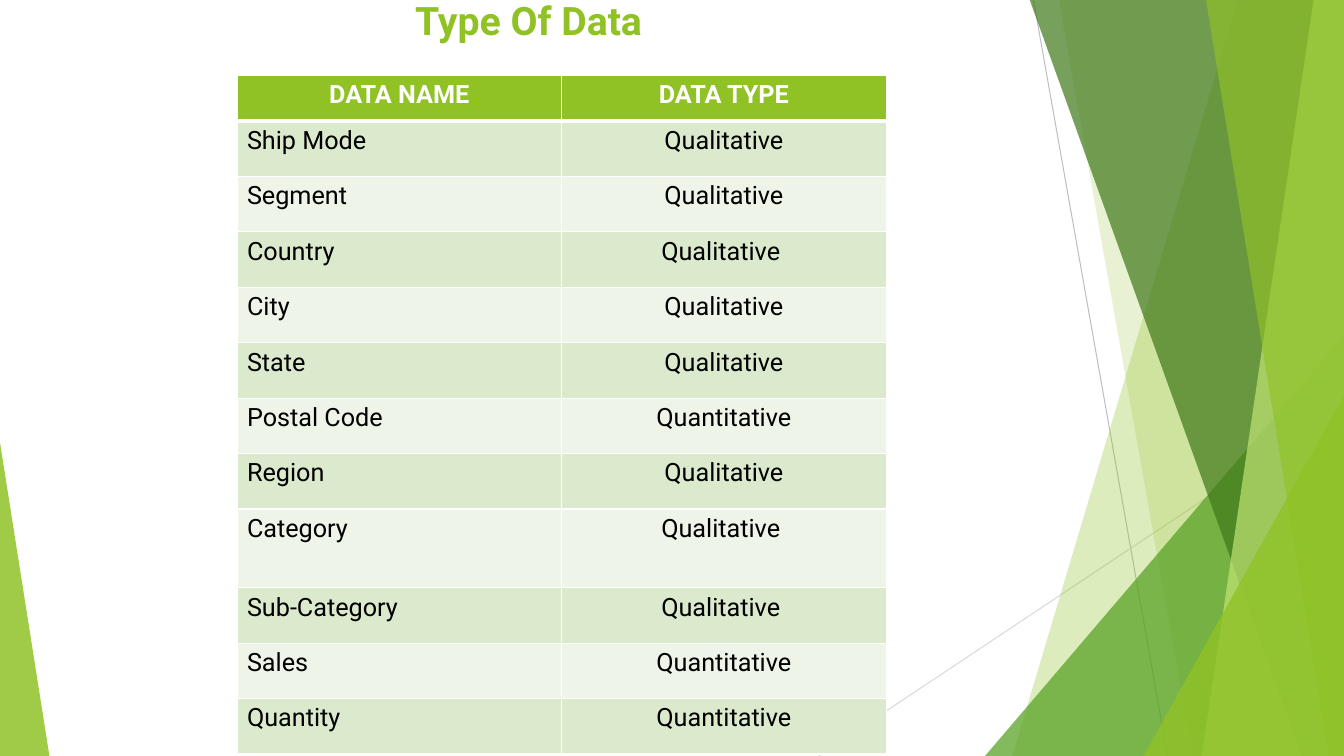
"""Build the slide that lists each data field with its type."""
from lxml.etree import SubElement
from pptx import Presentation
from pptx.dml.color import RGBColor
from pptx.enum.shapes import MSO_CONNECTOR as Connector, MSO_SHAPE as Shape
from pptx.enum.text import MSO_AUTO_SIZE as AutoSize, PP_ALIGN as Align
from pptx.oxml import parse_xml
from pptx.oxml.ns import nsdecls, qn
from pptx.util import Inches, Pt

THEME = {
    "green": "90C226", "leaf": "54A021", "forest": "3F7819", "lime": "C0E474",
    "white": "FFFFFF", "black": "000000", "bands": ("DBE9CD", "EEF4E8"),
    "steep_line": "BFBFBF", "shallow_line": "D9D9D9",
    "title": {"name": "Roboto", "size": Pt(28), "bold": True},
    "header": {"name": "Roboto", "size": Pt(18), "bold": True},
    "body": {"name": "Roboto", "size": Pt(18), "bold": False},
}


def write(frame, text, font_format, color, align=Align.LEFT):
    """Put one formatted line of text in a frame."""
    paragraph = frame.paragraphs[0]
    paragraph.alignment = align
    run = paragraph.add_run()
    run.text = text
    for attribute, value in font_format.items():
        setattr(run.font, attribute, value)
    run.font.color.rgb = RGBColor.from_string(color)


prs = Presentation()
prs.slide_width, prs.slide_height = Inches(13.33), Inches(7.5)
slide = prs.slides.add_slide(prs.slide_layouts[6])
shapes = slide.shapes

for start, end, color in (
    ((10.25, 0), (11.58, 7.5), THEME["steep_line"]),
    ((13.33, 4.03), (8.12, 7.5), THEME["shallow_line"]),
):
    ray = shapes.add_connector(Connector.STRAIGHT, *map(Inches, start + end))
    ray.line.color.rgb = RGBColor.from_string(color)
    ray.line.width = Pt(0.75)
    SubElement(ray._element.spPr, qn("a:effectLst"))

TOP, BOTTOM, RIGHT = -0.01, 7.5, 13.33
facets = (
    ("blade", (12.28, 10.04), "green", 30),
    ("blade", (10.5, 11.83), "green", 20),
    ("corner", (9.77, 3.33, 3.56, 1), "leaf", 72),
    ("blade", (10.21, 12.91), "forest", 70),
    ("blade", (13.03, 11.92), "lime", 70),
    ("blade", (11.96, 13.18), "green", 65),
    ("corner", (11.34, 3.93, 1.99, 1), "green", 80),
    ("corner", (0, 4.39, 0.49, 0), "green", 85),
)
for kind, geometry, color, opacity in facets:
    if kind == "blade":
        top_x, bottom_x = geometry
        outline = shapes.build_freeform(Inches(top_x), Inches(TOP))
        outline.add_line_segments([
            (Inches(x), Inches(y))
            for x, y in ((RIGHT, TOP), (RIGHT, BOTTOM), (bottom_x, BOTTOM))
        ])
        facet = outline.convert_to_shape()
    else:
        left, top, width, apex = geometry
        facet = shapes.add_shape(
            Shape.ISOSCELES_TRIANGLE,
            *map(Inches, (left, top, width, BOTTOM - top)))
        facet.adjustments[0] = apex
    facet.shadow.inherit = False
    facet.line.fill.background()
    facet.fill.solid()
    facet.fill.fore_color.rgb = RGBColor.from_string(THEME[color])
    tint = facet._element.spPr.find(qn("a:solidFill"))[0]
    SubElement(tint, qn("a:alpha")).set("val", str(opacity * 1000))

fields = (
    ("DATA NAME", "DATA TYPE"),
    ("Ship Mode", "Qualitative"),
    ("Segment", "Qualitative"),
    ("Country", "Qualitative "),
    ("City", "Qualitative"),
    ("State", "Qualitative"),
    ("Postal Code", "Quantitative"),
    ("Region", "Qualitative"),
    ("Category", "Qualitative "),
    ("Sub-Category", "Qualitative "),
    ("Sales", "Quantitative"),
    ("Quantity", "Quantitative"),
)
row_heights = {"DATA NAME": 0.45, "Category": 0.78}
data_types = shapes.add_table(
    len(fields), 2, Inches(2.35), Inches(0.75), Inches(6.44), Inches(6.72)).table
for row, field in enumerate(fields):
    data_types.rows[row].height = Inches(row_heights.get(field[0], 0.55))
    is_header = row == 0
    fill = THEME["green"] if is_header else THEME["bands"][(row - 1) % 2]
    for column, text in enumerate(field):
        cell = data_types.cell(row, column)
        cell.fill.solid()
        cell.fill.fore_color.rgb = RGBColor.from_string(fill)
        write(cell.text_frame, text,
              THEME["header" if is_header else "body"],
              THEME["white" if is_header else "black"],
              Align.CENTER if is_header or column else Align.LEFT)
        for position, side in enumerate("LRTB"):
            heavy = (side == "B" and row == 0) or (side == "T" and row == 1)
            border = parse_xml(
                f'<a:ln{side} {nsdecls("a")} w="{Pt(3 if heavy else 1)}"><a:solidFill>'
                f'<a:srgbClr val="{THEME["white"]}"/></a:solidFill></a:ln{side}>')
            cell._tc.get_or_add_tcPr().insert(position, border)

heading = shapes.add_textbox(
    Inches(4.02), Inches(-0.09), Inches(2.56), Inches(0.57)).text_frame
for attribute, value in {"word_wrap": False, "auto_size": AutoSize.SHAPE_TO_FIT_TEXT}.items():
    setattr(heading, attribute, value)
write(heading, "Type Of Data", THEME["title"], THEME["green"])

prs.save("out.pptx")
